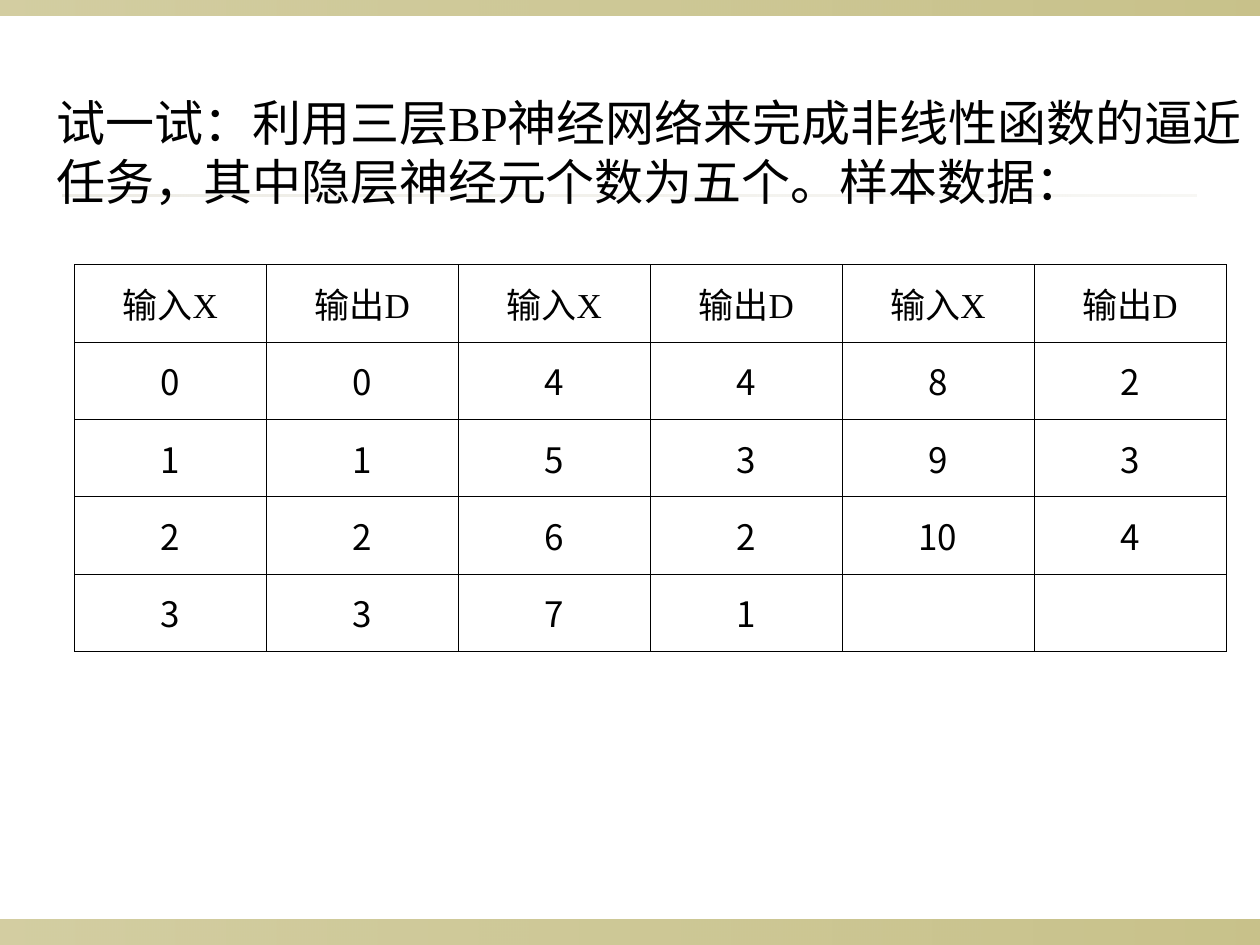
from lxml.etree import SubElement
from pptx import Presentation
from pptx.dml.color import RGBColor
from pptx.enum.shapes import MSO_SHAPE
from pptx.enum.text import MSO_ANCHOR, MSO_AUTO_SIZE, PP_ALIGN
from pptx.oxml.ns import qn
from pptx.util import Inches, Pt

LATIN_FONT = "Times New Roman"
CHINESE_FONT = "Noto Sans CJK SC"
BLACK = RGBColor(0x00, 0x00, 0x00)
OLIVE = RGBColor(0x91, 0x84, 0x15)
SAND = RGBColor(0xDC, 0xD9, 0xCC)

TITLE_RUNS = [
    ("试一试：利用三层BP神经网络来完成非线性函数的逼近任务，其中隐层神经元个数为五个。", LATIN_FONT),
    ("样本数据：", CHINESE_FONT),
]
HEADERS = ["输入X", "输出D"] * 3
SAMPLES = [
    ["0", "0", "4", "4", "8", "2"],
    ["1", "1", "5", "3", "9", "3"],
    ["2", "2", "6", "2", "10", "4"],
    ["3", "3", "7", "1", "", ""],
]
BANDS = [
    ((0, 7.3, 10, 0.2), OLIVE, (40, 50)),
    ((0, 0, 10, 0.12), OLIVE, (40, 50)),
    ((0.5, 1.54, 9, 0.02), SAND, (50, 20)),
]
TITLE_BOX = (0.35, 0.68, 9.65, 1.04)
TABLE_BOX = (0.59, 2.1, 9.14, 3.07)
BORDER_WIDTH = Pt(0.45)


def add_text(paragraph, text, size=20, font=LATIN_FONT, color=BLACK, align=PP_ALIGN.LEFT):
    paragraph.alignment = align
    run = paragraph.add_run()
    run.text = text
    run.font.size = Pt(size)
    run.font.name = font
    run.font.color.rgb = color
    SubElement(run.font._element, qn("a:ea"), typeface=CHINESE_FONT)


def add_band(slide, box, color, opacities):
    shape = slide.shapes.add_shape(MSO_SHAPE.RECTANGLE, *map(Inches, box))
    shape.shadow.inherit = False
    shape.line.fill.background()
    shape.fill.gradient()
    shape.fill.gradient_angle = 0
    for stop, opacity in zip(shape.fill.gradient_stops, opacities):
        stop.color.rgb = color
    for color_element, opacity in zip(shape._element.spPr.iter(qn("a:srgbClr")), opacities):
        SubElement(color_element, qn("a:alpha"), val=str(opacity * 1000))


def add_borders(cell):
    properties = cell._tc.get_or_add_tcPr()
    for position, side in enumerate(("lnL", "lnR", "lnT", "lnB")):
        line = properties.makeelement(qn(f"a:{side}"), {"w": str(BORDER_WIDTH)})
        fill = SubElement(line, qn("a:solidFill"))
        SubElement(fill, qn("a:srgbClr"), val=str(BLACK))
        properties.insert(position, line)


def add_samples(slide):
    rows = [HEADERS] + SAMPLES
    left, top, width, height = map(Inches, TABLE_BOX)
    table = slide.shapes.add_table(len(rows), len(HEADERS), left, top, width, height).table
    table.first_row = False
    table.horz_banding = False
    for row_index, values in enumerate(rows):
        for column_index, value in enumerate(values):
            cell = table.cell(row_index, column_index)
            cell.fill.background()
            add_borders(cell)
            cell.vertical_anchor = MSO_ANCHOR.MIDDLE
            cell.margin_left = cell.margin_right = Inches(0.08)
            if value:
                font = CHINESE_FONT if row_index else LATIN_FONT
                add_text(cell.text_frame.paragraphs[0], value, font=font, align=PP_ALIGN.CENTER)


def add_title(slide):
    title = slide.shapes.title
    title.left, title.top, title.width, title.height = map(Inches, TITLE_BOX)
    frame = title.text_frame
    frame.word_wrap = True
    frame.auto_size = MSO_AUTO_SIZE.SHAPE_TO_FIT_TEXT
    frame.vertical_anchor = MSO_ANCHOR.MIDDLE
    for text, font in TITLE_RUNS:
        add_text(frame.paragraphs[0], text, size=28, font=font)
    slide.shapes._spTree.append(title._element)


def main():
    presentation = Presentation()
    presentation.slide_width = Inches(10)
    presentation.slide_height = Inches(7.5)
    slide = presentation.slides.add_slide(presentation.slide_layouts[5])
    for box, color, opacities in BANDS:
        add_band(slide, box, color, opacities)
    add_samples(slide)
    add_title(slide)
    presentation.save("out.pptx")


if __name__ == "__main__":
    main()
